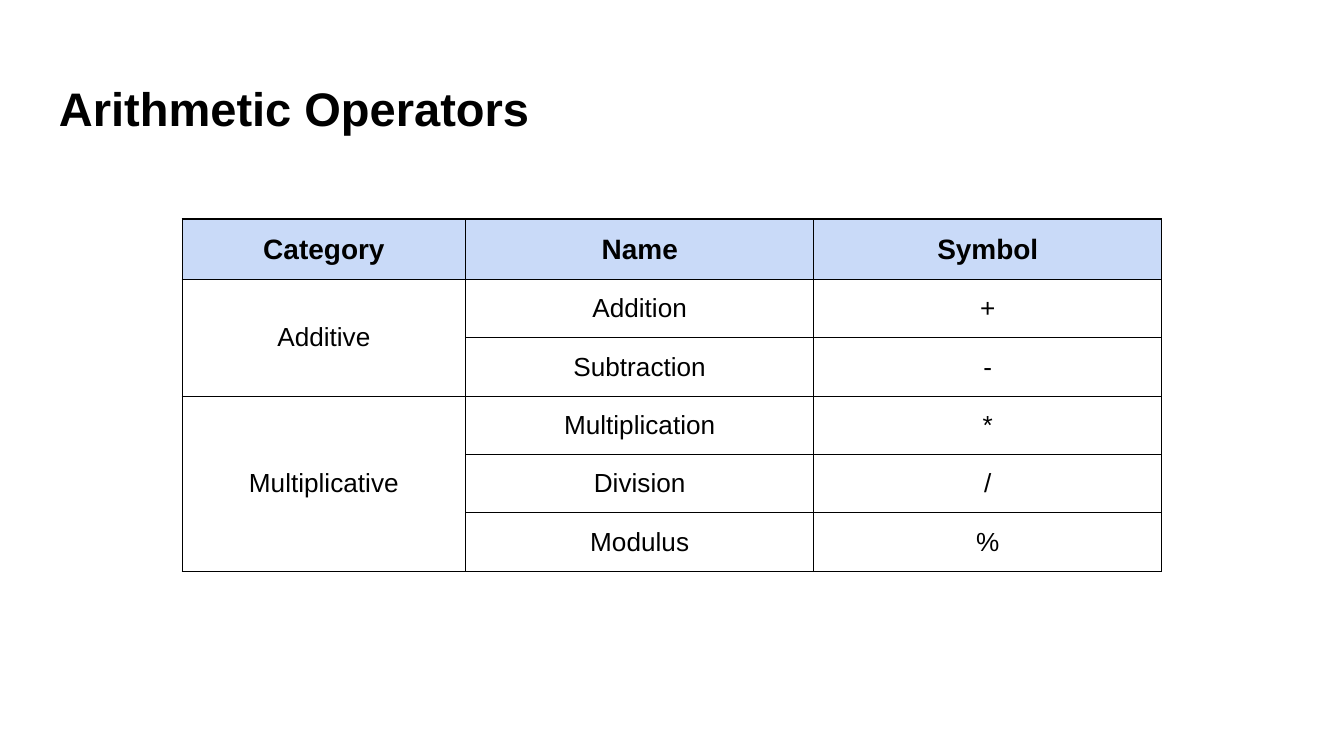
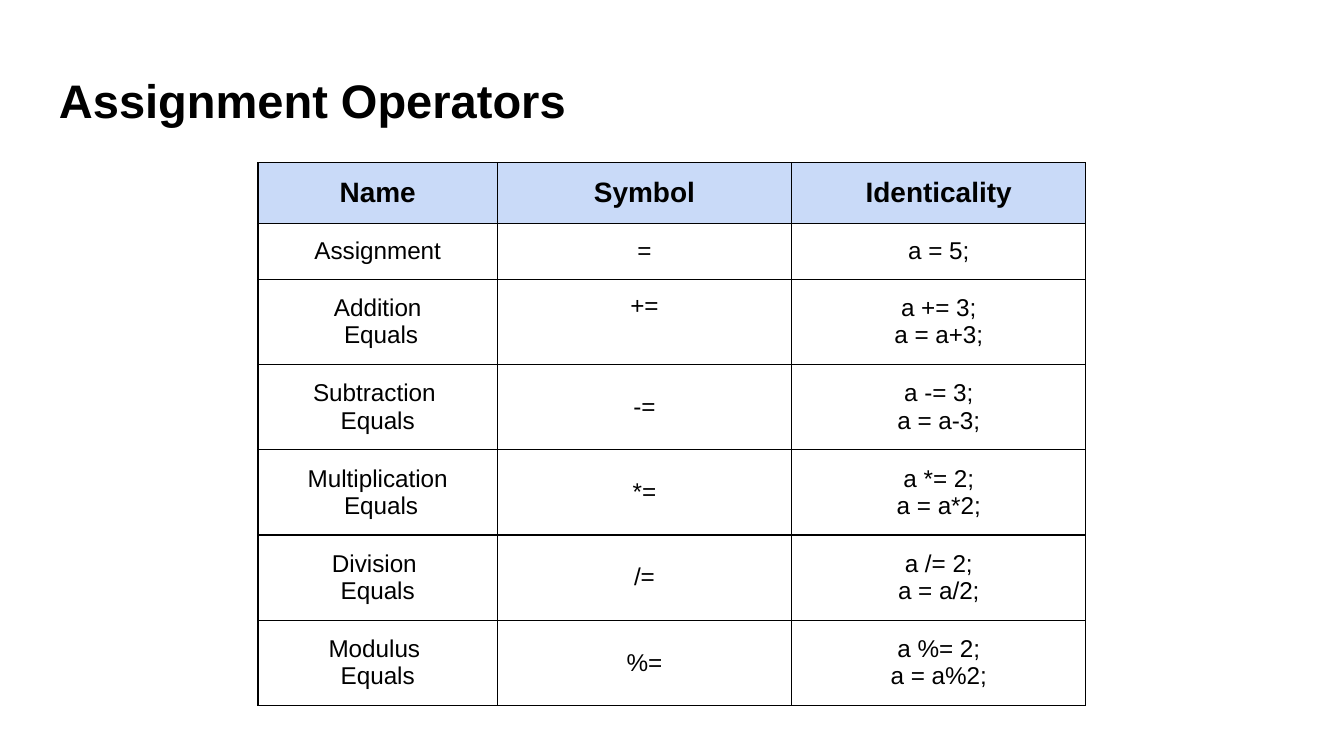
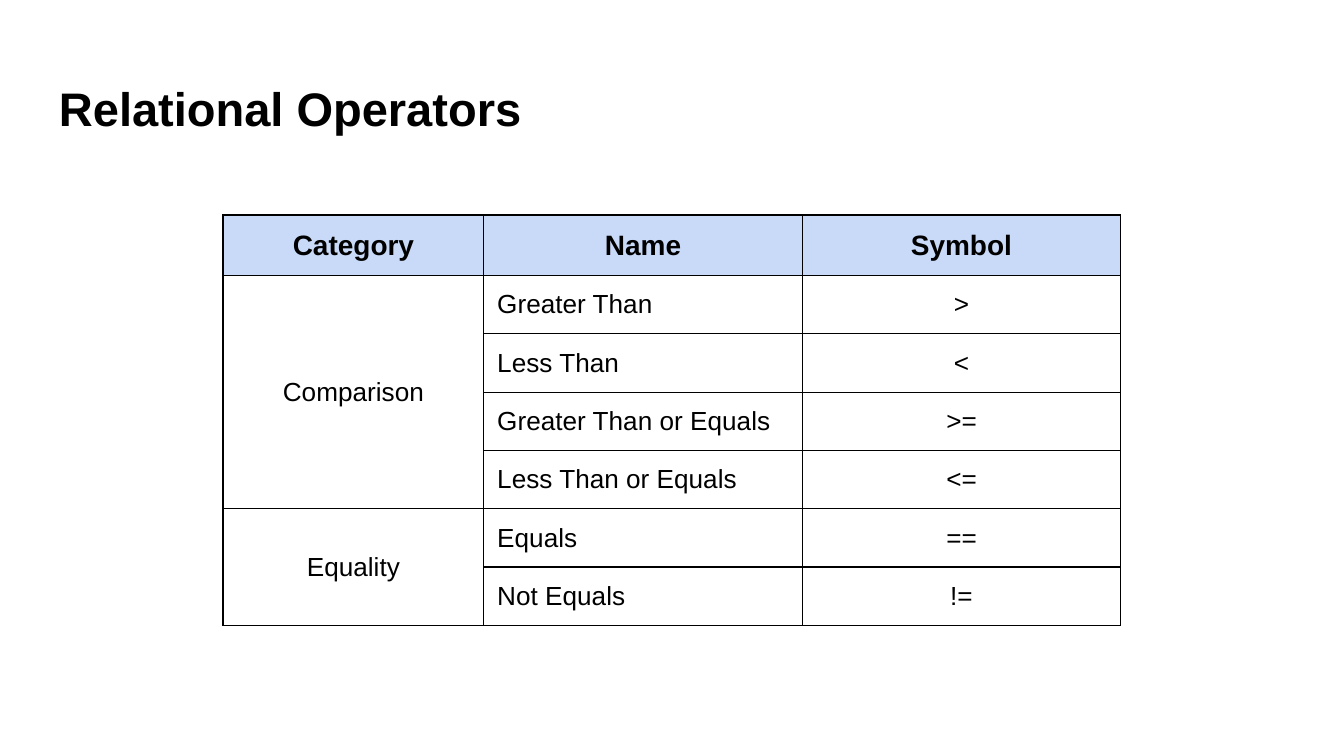
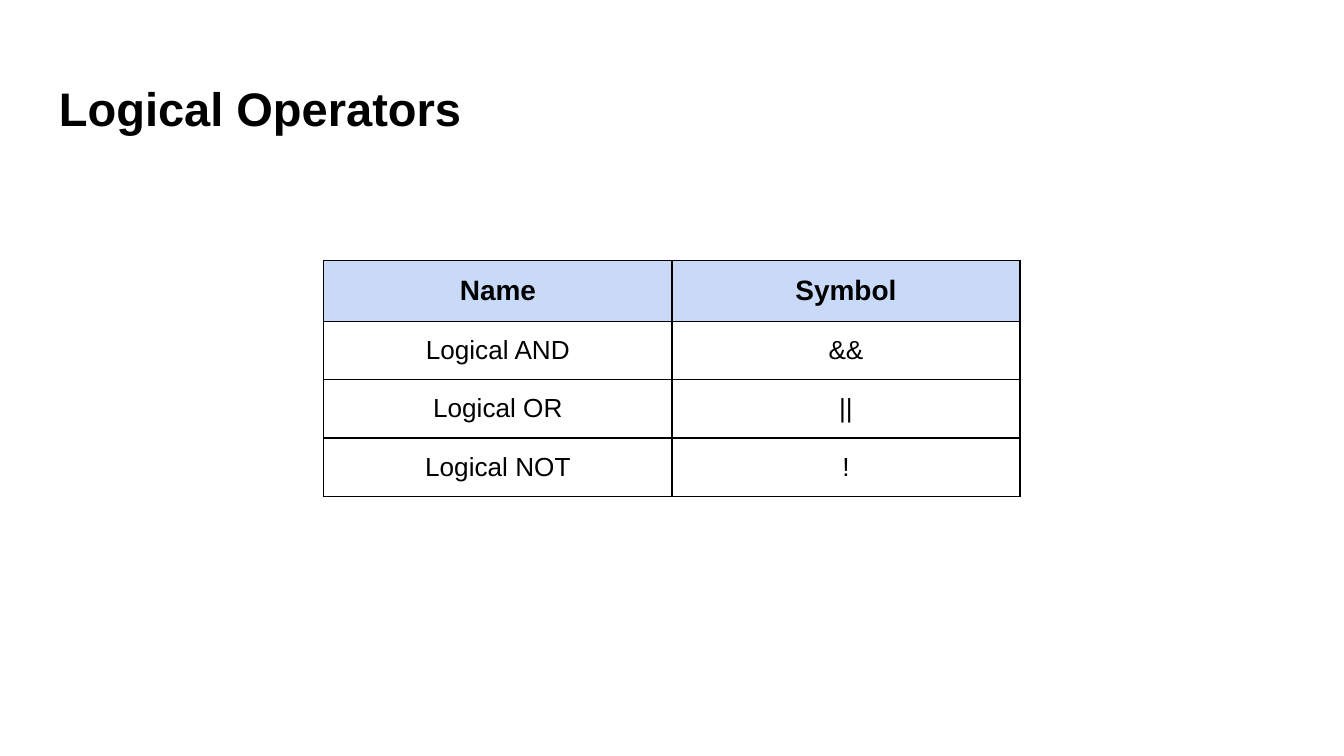
from lxml import etree
from pptx import Presentation
from pptx.dml.color import RGBColor
from pptx.enum.text import MSO_ANCHOR, PP_ALIGN
from pptx.oxml.ns import qn
from pptx.util import Inches, Pt

SLIDE_W = 10
SLIDE_H = SLIDE_W * 9 / 16
MARGIN = 0.34
TITLE_H = 0.63
INSET = Inches(0.1)
FONT = "Arial"
BLACK = RGBColor(0x00, 0x00, 0x00)
HEADER_BLUE = RGBColor(0xC9, 0xDA, 0xF8)
TITLE_SIZE, HEADER_SIZE = 25.2, 15
BORDER = Pt(0.75)
LEFT, CENTER = PP_ALIGN.LEFT, PP_ALIGN.CENTER
TOP, MIDDLE = MSO_ANCHOR.TOP, MSO_ANCHOR.MIDDLE

# In the first column, None continues the category above it.
OPERATOR_SLIDES = [
    dict(title="Arithmetic Operators", title_top=0.49, table_top=1.63,
         columns=[2.11, 2.59, 2.59], heights=[0.42] * 6, size=14,
         rows=[("Category", "Name", "Symbol"),
               ("Additive", "Addition", "+"),
               (None, "Subtraction", "-"),
               ("Multiplicative", "Multiplication", "*"),
               (None, "Division", "/"),
               (None, "Modulus", "%")]),
    dict(title="Assignment Operators", title_top=0.43, table_top=1.21,
         columns=[1.78, 2.19, 2.19], heights=[0.43, 0.4] + [0.61] * 5, size=13,
         top_cells=["+="],
         rows=[("Name", "Symbol", "Identicality"),
               ("Assignment", "=", "a = 5;"),
               ("Addition\n Equals", "+=", "a += 3;\na = a+3;"),
               ("Subtraction \nEquals", "-=", "a -= 3;\na = a-3;"),
               ("Multiplication\n Equals", "*=", "a *= 2;\na = a*2;"),
               ("Division \nEquals", "/=", "a /= 2;\na = a/2;"),
               ("Modulus \nEquals", "%=", "a %= 2;\na = a%2;")]),
    dict(title="Relational Operators", title_top=0.49, table_top=1.6,
         columns=[1.94, 2.37, 2.37], heights=[0.42] + [0.4] * 6, size=14,
         left_column=1,
         rows=[("Category", "Name", "Symbol"),
               ("Comparison", "Greater Than", ">"),
               (None, "Less Than", "<"),
               (None, "Greater Than or Equals", ">="),
               (None, "Less Than or Equals", "<="),
               ("Equality", "Equals", "=="),
               (None, "Not Equals", "!=")]),
    dict(title="Logical Operators", title_top=0.49, table_top=1.94,
         columns=[2.59, 2.59], heights=[0.42] * 4, size=14,
         rows=[("Name", "Symbol"),
               ("Logical AND", "&&"),
               ("Logical OR", "||"),
               ("Logical NOT", "!")]),
]


def style_text(frame, size, bold, align):
    for paragraph in frame.paragraphs:
        paragraph.alignment = align
        paragraph.font.name = FONT
        paragraph.font.size = Pt(size)
        paragraph.font.bold = bold
        paragraph.font.color.rgb = BLACK
        # Row heights are measured with the font named on the runs.
        for run in paragraph.runs:
            run.font.name = FONT


def add_borders(cell):
    properties = cell._tc.get_or_add_tcPr()
    for side in ("a:lnL", "a:lnR", "a:lnT", "a:lnB"):
        line = etree.SubElement(properties, qn(side), w=str(BORDER))
        fill = etree.SubElement(line, qn("a:solidFill"))
        etree.SubElement(fill, qn("a:srgbClr"), val=str(BLACK))


prs = Presentation()
prs.slide_width, prs.slide_height = Inches(SLIDE_W), Inches(SLIDE_H)
blank = prs.slide_layouts[6]

for operators in OPERATOR_SLIDES:
    slide = prs.slides.add_slide(blank)

    title = slide.shapes.add_textbox(
        Inches(MARGIN), Inches(operators["title_top"]),
        Inches(SLIDE_W - 2 * MARGIN), Inches(TITLE_H)).text_frame
    title.word_wrap = True
    title.margin_left = title.margin_right = INSET
    title.margin_top = title.margin_bottom = INSET
    title.text = operators["title"]
    style_text(title, TITLE_SIZE, True, LEFT)

    rows, columns, heights = (operators[key] for key in ("rows", "columns", "heights"))
    width = sum(columns)
    table = slide.shapes.add_table(
        len(rows), len(columns),
        Inches((SLIDE_W - width) / 2), Inches(operators["table_top"]),
        Inches(width), Inches(sum(heights))).table
    table.horz_banding = False
    for column, column_width in zip(table.columns, columns):
        column.width = Inches(column_width)
    for row, height in zip(table.rows, heights):
        row.height = Inches(height)

    for r, row in enumerate(rows):
        is_header = r == 0
        for c, text in enumerate(row):
            cell = table.cell(r, c)
            cell.text = text or ""
            cell.margin_left = cell.margin_right = INSET
            cell.margin_top = cell.margin_bottom = INSET
            cell.vertical_anchor = TOP if text in operators.get("top_cells", []) else MIDDLE
            add_borders(cell)
            if is_header:
                cell.fill.solid()
                cell.fill.fore_color.rgb = HEADER_BLUE
            else:
                cell.fill.background()
            is_left = c == operators.get("left_column") and not is_header
            style_text(cell.text_frame, HEADER_SIZE if is_header else operators["size"],
                       is_header, LEFT if is_left else CENTER)

    category_starts = [r for r, row in enumerate(rows) if row[0]] + [len(rows)]
    for start, end in zip(category_starts, category_starts[1:]):
        if end - start > 1:
            table.cell(start, 0).merge(table.cell(end - 1, 0))

prs.save("out.pptx")
